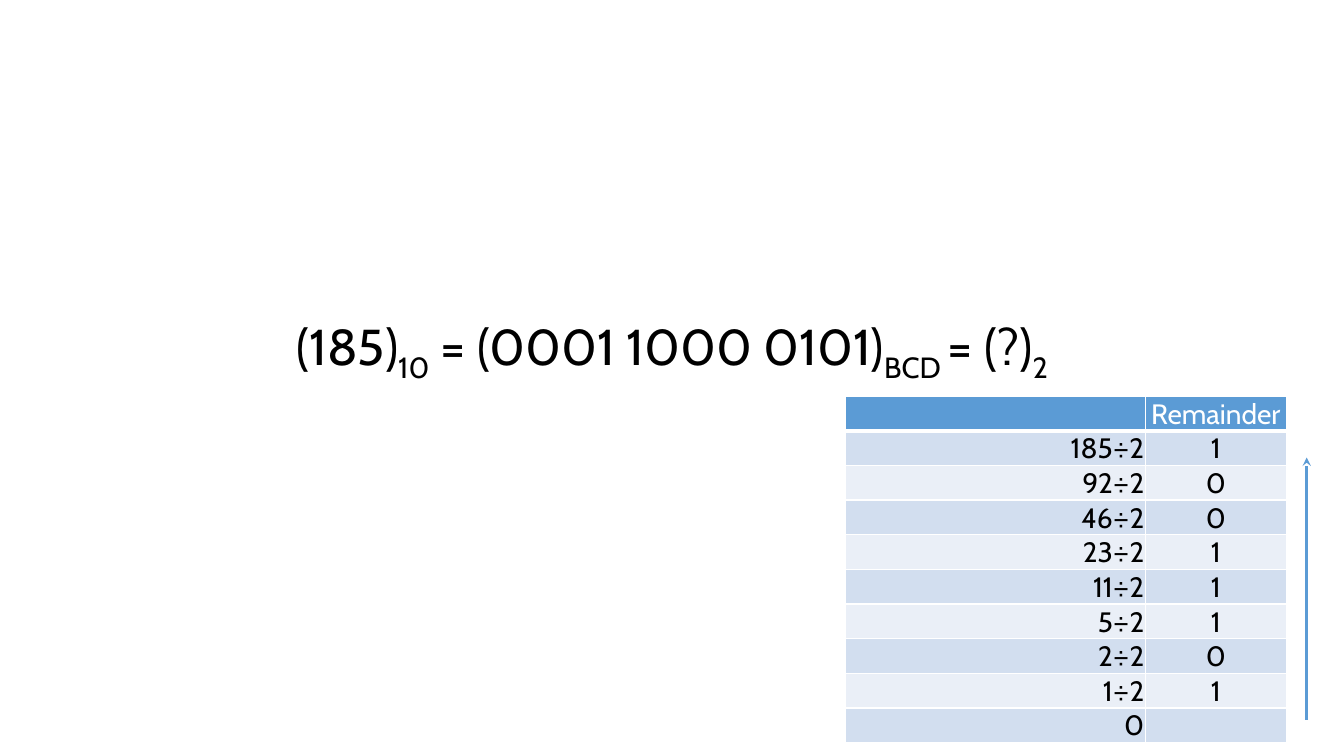
from dataclasses import dataclass

from lxml import etree
from pptx import Presentation
from pptx.dml.color import RGBColor
from pptx.enum.shapes import MSO_CONNECTOR
from pptx.enum.text import MSO_ANCHOR, MSO_AUTO_SIZE, PP_ALIGN
from pptx.oxml.ns import qn
from pptx.util import Inches, Pt

STRAIGHT = MSO_CONNECTOR.STRAIGHT
TOP, BOTTOM = MSO_ANCHOR.TOP, MSO_ANCHOR.BOTTOM
GROW = MSO_AUTO_SIZE.SHAPE_TO_FIT_TEXT
CENTER, RIGHT = PP_ALIGN.CENTER, PP_ALIGN.RIGHT
TITLE_ONLY = 5
SLIDE_W, SLIDE_H = 13.33, 7.5


@dataclass(frozen=True)
class Theme:
    font: str = "Cabin"
    text: str = "000000"
    white: str = "FFFFFF"
    accent: str = "5B9BD5"
    bands: tuple = ("D2DEEF", "EAEFF7")
    equation_size: int = 36
    table_size: int = 20
    border: int = 1
    header_border: int = 3
    arrow: int = 2


THEME = Theme()

# Runs of the equation: text, is subscript
EQUATION = [("(185)", False), ("10", True), (" = (0001 1000 0101)", False),
            ("BCD ", True), ("= (?)", False), ("2", True)]


def division_rows(number):
    """Repeated halving, from the number down to 0."""
    rows = [("", "Remainder")]
    while number:
        rows.append((f"{number}÷2", str(number % 2)))
        number //= 2
    return rows + [("0", "")]


def style_paragraph(p, size, color, align):
    p.alignment = align
    p.font.name = THEME.font
    p.font.size = Pt(size)
    p.font.color.rgb = RGBColor.from_string(color)


def add_equation(s, box):
    """Equation in the title placeholder, with subscripts for the bases."""
    sp = s.shapes.title
    sp.left, sp.top, sp.width, sp.height = map(Inches, box)
    tf = sp.text_frame
    tf.word_wrap = True
    tf.auto_size = GROW
    tf.vertical_anchor = TOP
    p = tf.paragraphs[0]
    style_paragraph(p, THEME.equation_size, THEME.text, CENTER)
    for text, subscript in EQUATION:
        r = p.add_run()
        r.text = text
        if subscript:
            r._r.get_or_add_rPr().set("baseline", "-25000")


def add_borders(cell, top, bottom):
    tcPr = cell._tc.get_or_add_tcPr()
    widths = {"L": THEME.border, "R": THEME.border, "T": top, "B": bottom}
    for side, width in widths.items():
        ln = etree.SubElement(tcPr, qn(f"a:ln{side}"), w=str(Pt(width)))
        fill = etree.SubElement(ln, qn("a:solidFill"))
        etree.SubElement(fill, qn("a:srgbClr"), val=THEME.white)


def style_cell(cell, row, col):
    header = row == 0
    add_borders(cell,
                THEME.header_border if row == 1 else THEME.border,
                THEME.header_border if header else THEME.border)
    cell.fill.solid()
    fill = THEME.accent if header else THEME.bands[(row - 1) % 2]
    cell.fill.fore_color.rgb = RGBColor.from_string(fill)
    cell.margin_left = cell.margin_right = cell.margin_top = Inches(0.01)
    cell.margin_bottom = 0
    cell.vertical_anchor = BOTTOM
    style_paragraph(cell.text_frame.paragraphs[0], THEME.table_size,
                    THEME.white if header else THEME.text,
                    CENTER if col else RIGHT)


def add_division_table(s, box, rows, shares):
    """Division steps on the left, remainders on the right."""
    width, height = box[2:]
    table = s.shapes.add_table(len(rows), len(shares), *map(Inches, box)).table
    table.first_row = table.horz_banding = False
    for column, share in zip(table.columns, shares):
        column.width = Inches(width * share)
    for i, values in enumerate(rows):
        table.rows[i].height = Inches(height / len(rows))
        for j, value in enumerate(values):
            cell = table.cell(i, j)
            cell.text = value
            style_cell(cell, i, j)


def add_reading_arrow(s, x, bottom, top):
    """Upward arrow: the remainders are read from last to first."""
    arrow = s.shapes.add_connector(STRAIGHT, *map(Inches, (x, bottom, x, top)))
    arrow.line.color.rgb = RGBColor.from_string(THEME.accent)
    arrow.line.width = Pt(THEME.arrow)
    ln = arrow.line._get_or_add_ln()
    etree.SubElement(ln, qn("a:tailEnd"), type="stealth")
    etree.SubElement(arrow._element.spPr, qn("a:effectLst"))


def add_conversion_slide(prs):
    s = prs.slides.add_slide(prs.slide_layouts[TITLE_ONLY])
    add_equation(s, (0, 0.41 * SLIDE_H, SLIDE_W, 0.71))

    # Table, with the arrow beside its remainders
    left, top, width, height = box = (8.38, 3.93, 4.38, 3.44)
    add_division_table(s, box, division_rows(185), (0.68, 0.32))
    add_reading_arrow(s, left + width + 0.2, top + height - 0.23, top + 0.61)


def main():
    prs = Presentation()
    prs.slide_width, prs.slide_height = Inches(SLIDE_W), Inches(SLIDE_H)
    add_conversion_slide(prs)
    prs.save("out.pptx")


if __name__ == "__main__":
    main()
